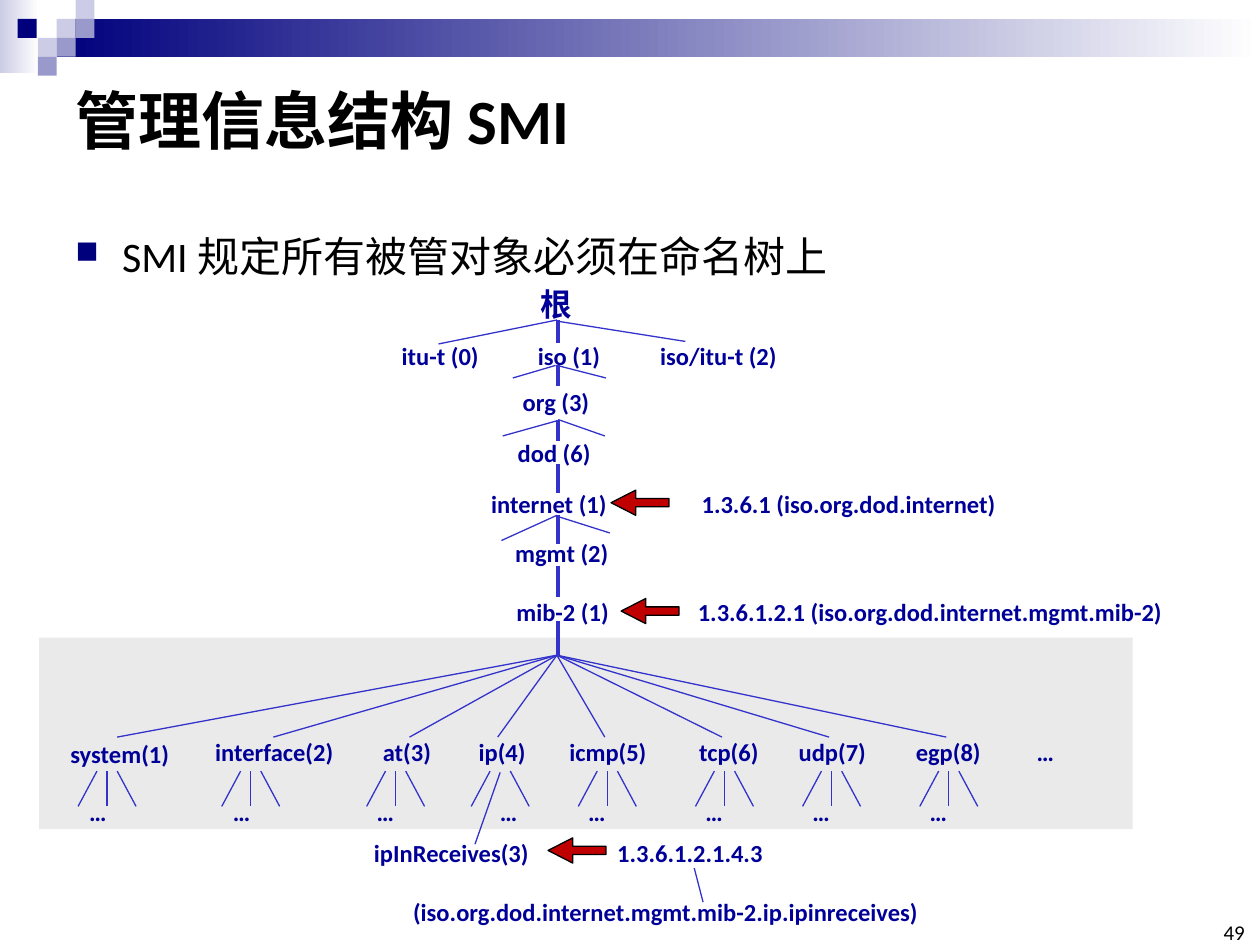
"""Build the SMI naming tree slide."""
from dataclasses import dataclass
from typing import NamedTuple, Optional

import lxml.etree
import pptx
import pptx.dml.color
import pptx.enum.shapes
import pptx.enum.text
import pptx.oxml.ns
import pptx.util

EMU_PER_PX = 9144
ANCHOR = pptx.enum.text.MSO_ANCHOR
ALIGN = pptx.enum.text.PP_ALIGN
AUTO_SIZE = pptx.enum.text.MSO_AUTO_SIZE
SHAPE = pptx.enum.shapes.MSO_SHAPE


@dataclass(frozen=True)
class Theme:
    font: str = "Calibri"
    ink: str = "000000"
    label: str = "000099"
    branch: str = "3333CC"
    arrow: str = "C00000"
    band: str = "EAEAEA"
    navy: str = "00007D"
    lilac: str = "9999CC"
    pale: str = "CCCCE6"
    white: str = "FFFFFF"
    title_size: int = 36
    body_size: int = 24
    root_size: int = 18
    label_size: int = 14
    number_size: int = 12
    thin: float = 0.75
    thick: float = 2.25


THEME = Theme()


class Box(NamedTuple):
    left: int
    top: int
    width: int
    height: int


class Line(NamedTuple):
    x1: int
    y1: int
    x2: int
    y2: int


class Label(NamedTuple):
    text: str
    left: int
    top: int
    width: int
    tab: Optional[int] = None


class Branch(NamedTuple):
    text: str
    left: int
    top: int
    width: int
    end: int
    fan: int
    dots: int
    has_middle: bool = True


LABELS = (
    Label("iso (1)", 417, 266, 71),
    Label("itu-t (0)", 309, 266, 83),
    Label("iso/itu-t (2)", 514, 266, 115),
    Label("org (3)", 405, 302, 74),
    Label("dod (6)", 401, 343, 79),
    Label("internet (1)\t1.3.6.1 (iso.org.dod.internet)", 380, 383, 426, 167),
    Label("mgmt (2)", 399, 422, 95),
    Label("mib-2 (1)\t1.3.6.1.2.1 (iso.org.dod.internet.mgmt.mib-2)", 400, 469, 536, 144),
    Label("…", 813, 580, 34),
    Label("ipInReceives(3)", 287, 660, 150),
    Label("1.3.6.1.2.1.4.3", 480, 660, 138),
    Label("(iso.org.dod.internet.mgmt.mib-2.ip.ipinreceives)", 318, 707, 428),
)
BRANCHES = (
    Branch("system(1)", 46, 582, 100, 93, 85, 61),
    Branch("interface(2)", 161, 580, 116, 217, 199, 175),
    Branch("at(3)", 294, 580, 59, 325, 314, 289),
    Branch("ip(4)", 370, 580, 58, 395, 397, 387, False),
    Branch("icmp(5)", 442, 580, 83, 480, 482, 457),
    Branch("tcp(6)", 545, 580, 68, 573, 575, 550),
    Branch("udp(7)", 624, 580, 75, 658, 660, 635),
    Branch("egp(8)", 717, 580, 73, 751, 753, 728),
)
TRUNK_X = 443
TRUNK_SPANS = ((254, 272), (290, 306), (333, 350), (368, 391), (409, 432), (449, 474), (493, 521))
TWIGS = (
    Line(443, 255, 544, 271), Line(348, 273, 442, 254),
    Line(441, 290, 407, 300), Line(442, 290, 481, 300),
    Line(443, 333, 480, 346), Line(442, 334, 399, 346),
    Line(398, 429, 442, 409), Line(443, 410, 484, 423),
    Line(397, 613, 377, 670), Line(558, 716, 551, 689),
)
ARROWS = ((485, 389), (493, 475), (435, 665))
HUB = (442, 520)
FAN_TOP, FAN_BOTTOM, DOTS_TOP = 612, 640, 628
SQUARE = 15
SQUARES = (
    (45, 15, THEME.pale), (60, 0, THEME.pale), (60, 15, THEME.lilac), (30, 30, THEME.pale),
    (14, 15, THEME.navy), (45, 30, THEME.lilac), (30, 45, THEME.lilac),
)


def px(length: int) -> int:
    return length * EMU_PER_PX


def rgb(value: str) -> pptx.dml.color.RGBColor:
    return pptx.dml.color.RGBColor.from_string(value)


def add_block(page, box: Box, fill: str, fade_to: Optional[str] = None, kind=SHAPE.RECTANGLE):
    block = page.shapes.add_shape(kind, *map(px, box))
    block.shadow.inherit = False
    block.line.fill.background()
    if fade_to is None:
        block.fill.solid()
        block.fill.fore_color.rgb = rgb(fill)
    else:
        block.fill.gradient()
        block.fill.gradient_angle = 0
        for stop, colour in zip(block.fill.gradient_stops, (fill, fade_to)):
            stop.color.rgb = rgb(colour)
    return block


def add_arrow(page, left: int, top: int) -> None:
    arrow = add_block(page, Box(left, top, 46, 20), THEME.arrow, kind=SHAPE.LEFT_ARROW)
    arrow.adjustments[0], arrow.adjustments[1] = 0.33, 0.98
    arrow.line.color.rgb = rgb(THEME.ink)
    arrow.line.width = pptx.util.Pt(THEME.thin)


def add_line(page, line: Line, width: float = THEME.thin) -> None:
    connector = page.shapes.add_connector(
        pptx.enum.shapes.MSO_CONNECTOR.STRAIGHT, *map(px, line))
    connector.line.color.rgb = rgb(THEME.branch)
    connector.line.width = pptx.util.Pt(width)
    lxml.etree.SubElement(connector._element.spPr, pptx.oxml.ns.qn("a:effectLst"))


def style_text(box, size: int, colour: str, bold: bool = False):
    paragraph = box.text_frame.paragraphs[0]
    for span in paragraph.runs:
        span.font.name = THEME.font
        span.font.size = pptx.util.Pt(size)
        span.font.bold = bold
        span.font.color.rgb = rgb(colour)
    return paragraph


def add_label(page, label: Label, size: int = THEME.label_size, height: int = 34) -> None:
    box = page.shapes.add_textbox(*map(px, (label.left, label.top, label.width, height)))
    box.text_frame.word_wrap = False
    box.text_frame.auto_size = AUTO_SIZE.SHAPE_TO_FIT_TEXT
    box.text_frame.text = label.text
    paragraph = style_text(box, size, THEME.label, True)
    if label.tab is not None:
        tabs = lxml.etree.SubElement(
            paragraph._p.get_or_add_pPr(), pptx.oxml.ns.qn("a:tabLst"))
        lxml.etree.SubElement(
            tabs, pptx.oxml.ns.qn("a:tab"), pos=str(px(label.tab)), algn="l")


def add_branch(page, branch: Branch) -> None:
    add_label(page, Label(branch.text, branch.left, branch.top, branch.width))
    add_line(page, Line(branch.end, 585, *HUB))
    for side in (-1, 0, 1):
        if side or branch.has_middle:
            add_line(page, Line(branch.fan + 8 * side, FAN_TOP, branch.fan + 23 * side, FAN_BOTTOM))
    add_label(page, Label("…", branch.dots, DOTS_TOP, 34))


def add_header(page) -> None:
    add_block(page, Box(0, 0, 31, 58), THEME.pale, THEME.white)
    add_block(page, Box(45, 15, 955, 30), THEME.navy, THEME.white)
    for left, top, colour in SQUARES:
        add_block(page, Box(left, top, SQUARE, SQUARE), colour)
    title = page.shapes.title
    title.left, title.top, title.width, title.height = map(px, (50, 50, 900, 89))
    title.text_frame.text = "管理信息结构 SMI"
    title.text_frame.auto_size = AUTO_SIZE.NONE
    title.text_frame.vertical_anchor = ANCHOR.MIDDLE
    style_text(title, THEME.title_size, THEME.ink, True).alignment = ALIGN.LEFT


def add_bullet(page) -> None:
    box = page.shapes.add_textbox(*map(px, (50, 158, 938, 89)))
    box.text_frame.word_wrap = True
    box.text_frame.text = "SMI 规定所有被管对象必须在命名树上"
    paragraph = style_text(box, THEME.body_size, THEME.ink)
    paragraph.line_spacing = 1.5
    properties = paragraph._p.get_or_add_pPr()
    properties.set("marL", str(px(37)))
    properties.set("indent", str(px(-37)))
    qn = pptx.oxml.ns.qn
    colour = lxml.etree.SubElement(properties, qn("a:buClr"))
    lxml.etree.SubElement(colour, qn("a:srgbClr"), val=THEME.navy)
    lxml.etree.SubElement(properties, qn("a:buSzPct"), val="75000")
    lxml.etree.SubElement(properties, qn("a:buChar"), char="■")


def add_page_number(page) -> None:
    box = page.shapes.add_textbox(*map(px, (962, 738, 26, 12)))
    frame = box.text_frame
    frame.margin_left = frame.margin_right = frame.margin_top = frame.margin_bottom = 0
    frame.word_wrap = True
    frame.vertical_anchor = ANCHOR.BOTTOM
    frame.text = "49"
    style_text(box, THEME.number_size, THEME.ink).alignment = ALIGN.RIGHT


def add_tree(page) -> None:
    add_block(page, Box(31, 506, 868, 152), THEME.band)
    add_label(page, Label("根", 419, 221, 46), THEME.root_size, 41)
    for label in LABELS:
        add_label(page, label)
    for top, bottom in TRUNK_SPANS:
        add_line(page, Line(TRUNK_X, top, TRUNK_X, bottom), THEME.thick)
    for twig in TWIGS:
        add_line(page, twig)
    for branch in BRANCHES:
        add_branch(page, branch)
    for left, top in ARROWS:
        add_arrow(page, left, top)


def main() -> None:
    deck = pptx.Presentation()
    deck.slide_width, deck.slide_height = px(1000), px(750)
    page = deck.slides.add_slide(deck.slide_layouts[5])
    add_header(page)
    add_bullet(page)
    add_page_number(page)
    add_tree(page)
    deck.save("out.pptx")


if __name__ == "__main__":
    main()
